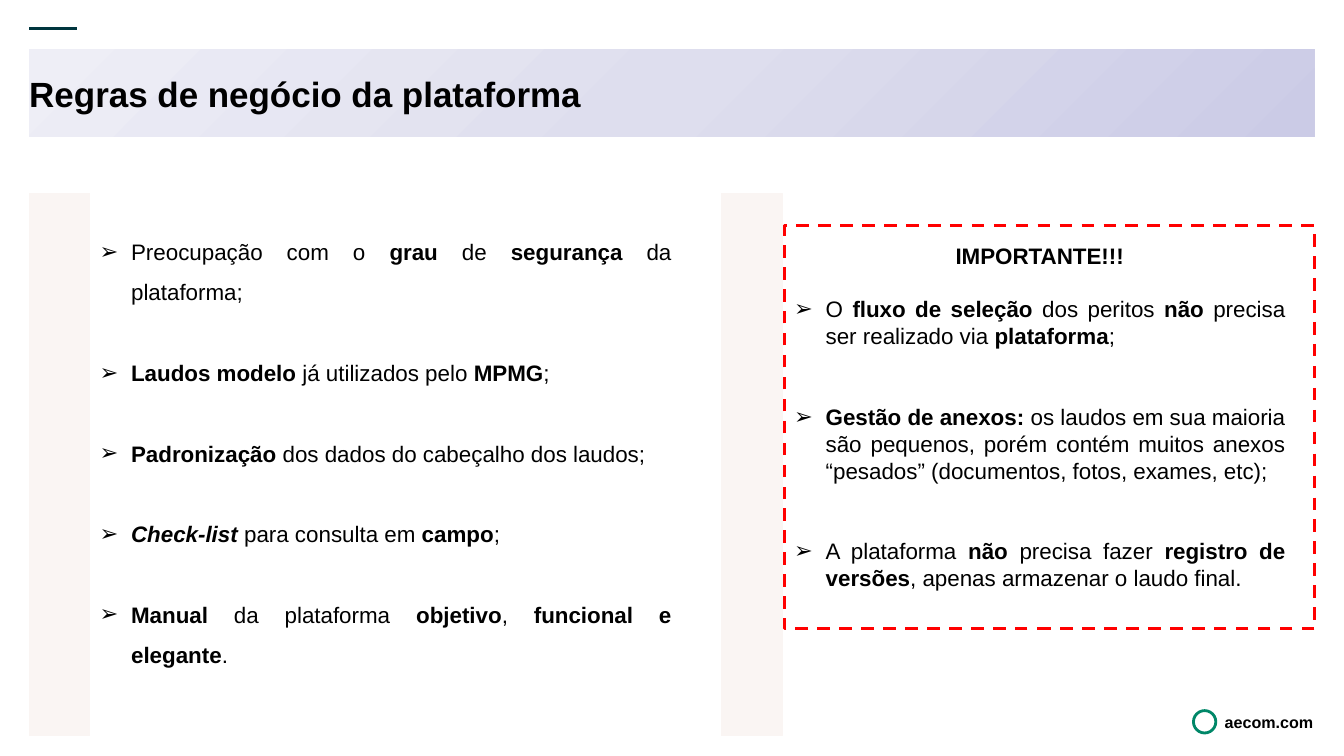
from lxml import etree
from pptx import Presentation
from pptx.dml.color import RGBColor
from pptx.enum import dml, shapes, text
from pptx.oxml import ns
from pptx.util import Pt

TITLE = "Regras de negócio da plataforma"
RULES = [
    "Preocupação com o *grau* de *segurança* da plataforma;",
    "*Laudos modelo *já utilizados pelo *MPMG*;",
    "*Padronização* dos dados do cabeçalho dos laudos;",
    "*Check-list* para consulta em *campo*;",
    "*Manual* da plataforma *objetivo*, *funcional e elegante*.",
]
HEADING = "IMPORTANTE!!!"
NOTICES = [
    "O *fluxo de seleção *dos peritos *não* precisa ser realizado via *plataforma*;",
    "*Gestão de anexos:* os laudos em sua maioria são pequenos, porém contém muitos "
    "anexos “pesados” (documentos, fotos, exames, etc);",
    "A plataforma *não* precisa fazer *registro de versões*, apenas armazenar o laudo final.",
]
ITALIC_TERMS = {"Check-list"}
WEBSITE = "aecom.com"

BLACK = RGBColor(0x00, 0x00, 0x00)
TEAL = RGBColor(0x00, 0x35, 0x3E)
GREEN = RGBColor(0x00, 0x87, 0x68)
CREAM = RGBColor(0xFA, 0xF5, 0xF3)
RED = RGBColor(0xFF, 0x00, 0x00)
BANNER_STOPS = [(0, "CBCBE6"), (50, "DEDEEE"), (100, "EEEEF6")]

LEFT, RIGHT = 20.9, 939
COLUMN_TOP, BAR_WIDTH, BAR_HEIGHT = 138.2, 43.2, 387.4
BAR_LEFTS = (LEFT, 515.5)
NOTICE_LEFT = 560.2
BODY_SIZE, INDENT = 16, 22.5
LINE = 19.2


def add_box(kind, left, top, width, height, fill=None, line=None, weight=1):
    box = page.shapes.add_shape(kind, Pt(left), Pt(top), Pt(width), Pt(height))
    box.shadow.inherit = False
    if fill is None:
        box.fill.background()
    else:
        box.fill.solid()
        box.fill.fore_color.rgb = fill
    if line is None:
        box.line.fill.background()
    else:
        box.line.color.rgb = line
        box.line.width = Pt(weight)
    return box


def add_text_frame(left, top, width, height):
    frame = page.shapes.add_textbox(Pt(left), Pt(top), Pt(width), Pt(height)).text_frame
    frame.word_wrap = True
    return frame


def set_font(para, size, bold=None):
    para.font.name = "Arial"
    para.font.size = Pt(size)
    para.font.color.rgb = BLACK
    para.font.bold = bold


def fill_bullet(para, marked, spacing, before):
    para.alignment = text.PP_ALIGN.JUSTIFY
    para.line_spacing = spacing
    if before:
        para.space_before = Pt(before)
    props = para._p.get_or_add_pPr()
    props.set("marL", str(Pt(INDENT)))
    props.set("indent", str(-Pt(INDENT)))
    etree.SubElement(props, ns.qn("a:buFont")).set("typeface", "Arial")
    etree.SubElement(props, ns.qn("a:buChar")).set("char", "➢")
    set_font(para, BODY_SIZE)
    for order, part in enumerate(marked.split("*")):
        if part:
            span = para.add_run()
            span.text = part
            span.font.bold = order % 2 == 1
            if part in ITALIC_TERMS:
                span.font.italic = True


def set_banner_gradient(box):
    box.fill.gradient()
    gradient = box._element.spPr.find(ns.qn("a:gradFill"))
    for child in list(gradient):
        gradient.remove(child)
    stops = etree.SubElement(gradient, ns.qn("a:gsLst"))
    for percent, color in BANNER_STOPS:
        stop = etree.SubElement(stops, ns.qn("a:gs"), pos=str(percent * 1000))
        etree.SubElement(stop, ns.qn("a:srgbClr"), val=color)
    path = etree.SubElement(gradient, ns.qn("a:path"), path="circle")
    etree.SubElement(path, ns.qn("a:fillToRect"), l="100000", t="100000")


deck = Presentation()
deck.slide_width, deck.slide_height = Pt(960), Pt(540)
page = deck.slides.add_slide(deck.slide_layouts[6])
RECT = shapes.MSO_SHAPE.RECTANGLE

accent = page.shapes.add_connector(
    shapes.MSO_CONNECTOR.STRAIGHT, Pt(LEFT), Pt(20.2), Pt(55), Pt(20.2))
accent.line.color.rgb = TEAL
accent.line.width = Pt(2)
etree.SubElement(accent._element.spPr, ns.qn("a:effectLst"))

add_box(shapes.MSO_SHAPE.OVAL, 852.5, 507.6, 16, 16, line=GREEN, weight=2)
website = add_text_frame(874.8, 507.6, 72, 16)
website.margin_left = website.margin_right = website.margin_top = website.margin_bottom = 0
website.vertical_anchor = text.MSO_ANCHOR.MIDDLE
website.text = WEBSITE
set_font(website.paragraphs[0], 11.5, True)

banner = add_box(RECT, LEFT, 35.3, RIGHT - LEFT, 62.6)
set_banner_gradient(banner)
title = banner.text_frame
title.margin_left = title.margin_right = title.margin_top = title.margin_bottom = 0
title.vertical_anchor = text.MSO_ANCHOR.MIDDLE
title.text = TITLE
title.paragraphs[0].alignment = text.PP_ALIGN.LEFT
set_font(title.paragraphs[0], 25, True)

for bar_left in BAR_LEFTS:
    add_box(RECT, bar_left, COLUMN_TOP, BAR_WIDTH, BAR_HEIGHT, CREAM, CREAM)

rules = add_text_frame(64.1, 157, 422.6, 352.8)
for order, rule in enumerate(RULES):
    para = rules.add_paragraph() if order else rules.paragraphs[0]
    fill_bullet(para, rule, 1.5, 1.5 * LINE if order else 0)

notices = add_text_frame(NOTICE_LEFT, 169.2, 365, 298)
notices.text = HEADING
notices.paragraphs[0].alignment = text.PP_ALIGN.CENTER
set_font(notices.paragraphs[0], BODY_SIZE, True)
for order, notice in enumerate(NOTICES):
    fill_bullet(notices.add_paragraph(), notice, 1.0, 2 * LINE if order else LINE)

frame = add_box(RECT, NOTICE_LEFT, 161.3, RIGHT - NOTICE_LEFT, 288, line=RED, weight=2.25)
frame.line.dash_style = dml.MSO_LINE.DASH

deck.save("out.pptx")
